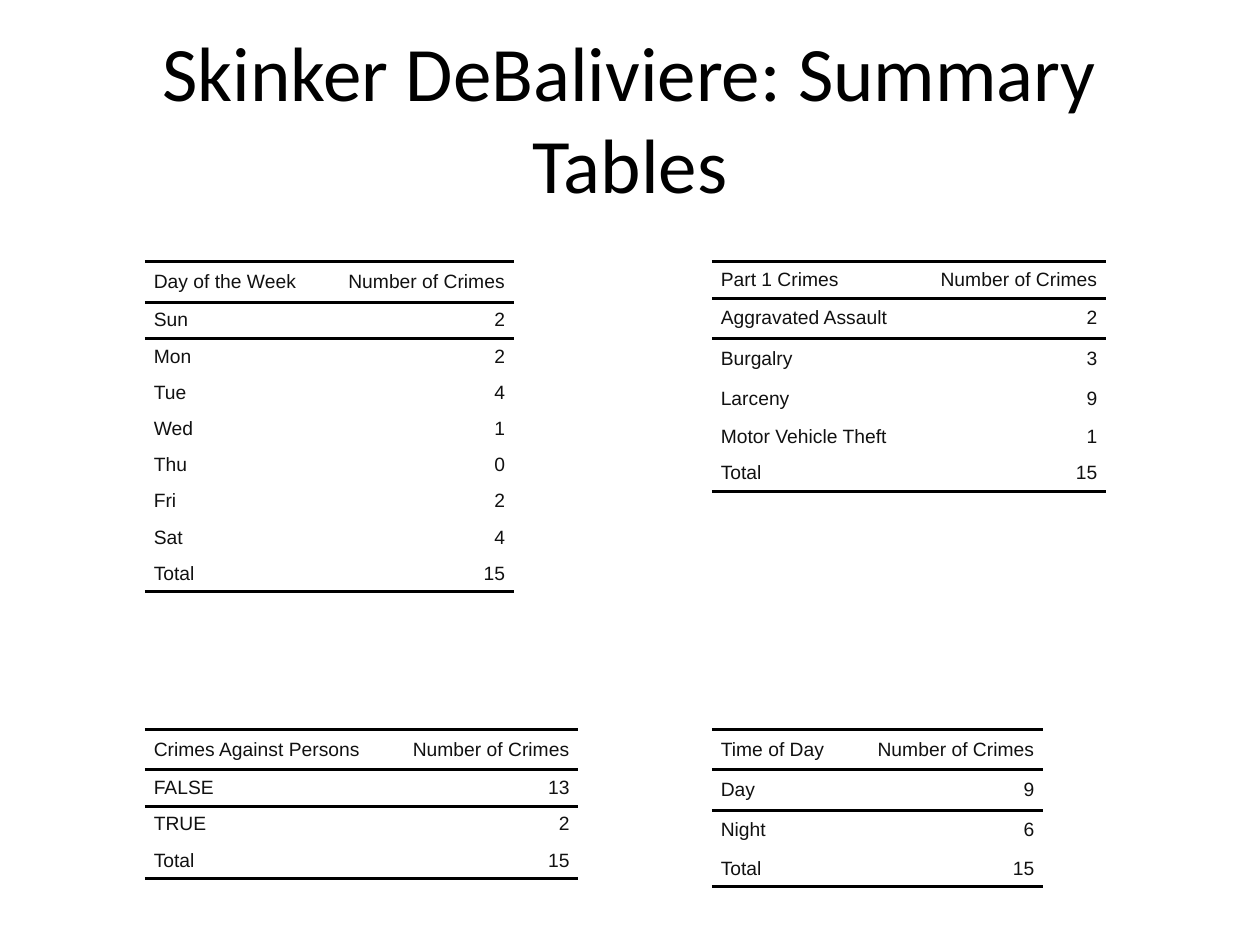
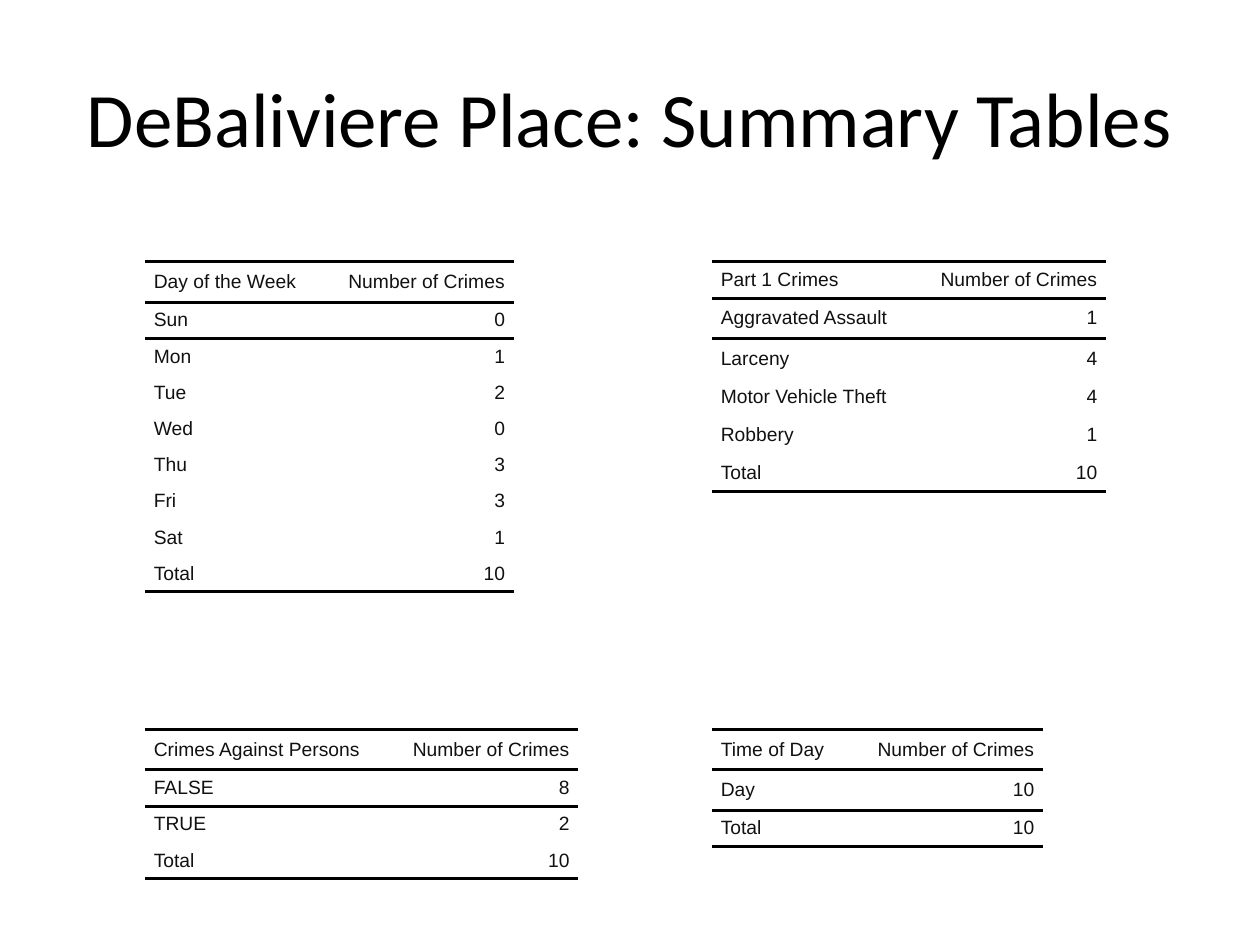
from lxml.etree import SubElement
from pptx import Presentation
from pptx.dml.color import RGBColor
from pptx.enum.text import MSO_ANCHOR, MSO_AUTO_SIZE, PP_ALIGN
from pptx.oxml.ns import qn
from pptx.util import Cm, Pt

DAYS = ["Sun", "Mon", "Tue", "Wed", "Thu", "Fri", "Sat"]
SLIDES = [
    ("Skinker DeBaliviere: Summary Tables", {
        "Part 1 Crimes": {"Aggravated Assault": 2, "Burgalry": 3,
                          "Larceny": 9, "Motor Vehicle Theft": 1},
        "Day of the Week": dict(zip(DAYS, [2, 2, 4, 1, 0, 2, 4])),
        "Crimes Against Persons": {"FALSE": 13, "TRUE": 2},
        "Time of Day": {"Day": 9, "Night": 6},
    }),
    ("DeBaliviere Place: Summary Tables", {
        "Part 1 Crimes": {"Aggravated Assault": 1, "Larceny": 4,
                          "Motor Vehicle Theft": 4, "Robbery": 1},
        "Day of the Week": dict(zip(DAYS, [0, 1, 2, 0, 3, 3, 1])),
        "Crimes Against Persons": {"FALSE": 8, "TRUE": 2},
        "Time of Day": {"Day": 10},
    }),
]

COLORS = {"title": "000000", "text": "111111", "rule": "000000"}
LEFT, RIGHT = Cm(2.92), Cm(14.35)
TOP, LOW = Cm(5.28), Cm(14.71)
# Left edge, top edge and label column width of each table
PLACES = {
    "Part 1 Crimes": (RIGHT, TOP, Cm(4.09)),
    "Day of the Week": (LEFT, TOP, Cm(3.58)),
    "Crimes Against Persons": (LEFT, LOW, Cm(4.88)),
    "Time of Day": (RIGHT, LOW, Cm(2.82)),
}
COUNT = Cm(3.86)
PAD = Cm(0.18)
THIN, TALL = Cm(0.73), Cm(0.81)
TALL_ROWS = {"Day of the Week", "Crimes Against Persons", "Time of Day",
             "Aggravated Assault", "Burgalry", "Larceny", "Robbery",
             "Day", "Night"}
PLAIN = "{2D5ABB26-0587-4C30-8999-92F81FD0307C}"  # table style without lines


def set_font(para, name, size, color):
    para.font.name = name
    para.font.size = Pt(size)
    para.font.color.rgb = RGBColor.from_string(color)


def add_rule(cell, side):
    line = SubElement(cell._tc.get_or_add_tcPr(), qn(f"a:ln{side}"),
                      w=str(Pt(2)), cmpd="sng")
    fill = SubElement(line, qn("a:solidFill"))
    SubElement(fill, qn("a:srgbClr"), val=COLORS["rule"])


def fill_cell(cell, text, align, sides):
    cell.margin_left = cell.margin_right = 0
    cell.margin_top = cell.margin_bottom = 0
    cell.vertical_anchor = MSO_ANCHOR.MIDDLE
    for side in sides:
        add_rule(cell, side)
    cell.fill.background()
    cell.text = text
    para = cell.text_frame.paragraphs[0]
    para.alignment = align
    para.space_before = para.space_after = Pt(2)
    props = para._p.get_or_add_pPr()
    for edge in ("marL", "marR"):
        props.set(edge, str(PAD))
    set_font(para, "Arial", 11, COLORS["text"])


def add_counts(slide, head, counts):
    """Add one table of counts, closed by their total."""
    rows = [(head, "Number of Crimes"), *counts.items(),
            ("Total", sum(counts.values()))]
    highs = [TALL if label in TALL_ROWS else THIN for label, _ in rows]
    left, top, wide = PLACES[head]
    table = slide.shapes.add_table(len(rows), 2, left, top,
                                   wide + COUNT, sum(highs)).table
    table.first_row = table.horz_banding = False
    table._tbl.tblPr.find(qn("a:tableStyleId")).text = PLAIN
    table.columns[0].width = wide
    table.columns[1].width = COUNT
    for i, (row, high) in enumerate(zip(rows, highs)):
        table.rows[i].height = high
        sides = {0: "TB", 1: "T", len(rows) - 1: "B"}.get(i, "")
        for j, align in enumerate((PP_ALIGN.LEFT, PP_ALIGN.RIGHT)):
            fill_cell(table.cell(i, j), str(row[j]), align, sides)


def add_title(slide, text):
    title = slide.shapes.title
    title.left, title.top = Cm(1.27), Cm(0.76)
    title.width, title.height = Cm(22.86), Cm(3.18)
    frame = title.text_frame
    frame.text = text
    frame.word_wrap = True
    frame.auto_size = MSO_AUTO_SIZE.NONE
    frame.vertical_anchor = MSO_ANCHOR.MIDDLE
    para = frame.paragraphs[0]
    para.alignment = PP_ALIGN.CENTER
    set_font(para, "Calibri", 44, COLORS["title"])


def main():
    deck = Presentation()
    deck.slide_width, deck.slide_height = Cm(25.4), Cm(19.05)
    for text, tables in SLIDES:
        slide = deck.slides.add_slide(deck.slide_layouts[5])
        add_title(slide, text)
        for head, counts in tables.items():
            add_counts(slide, head, counts)
    deck.save("out.pptx")


if __name__ == "__main__":
    main()
